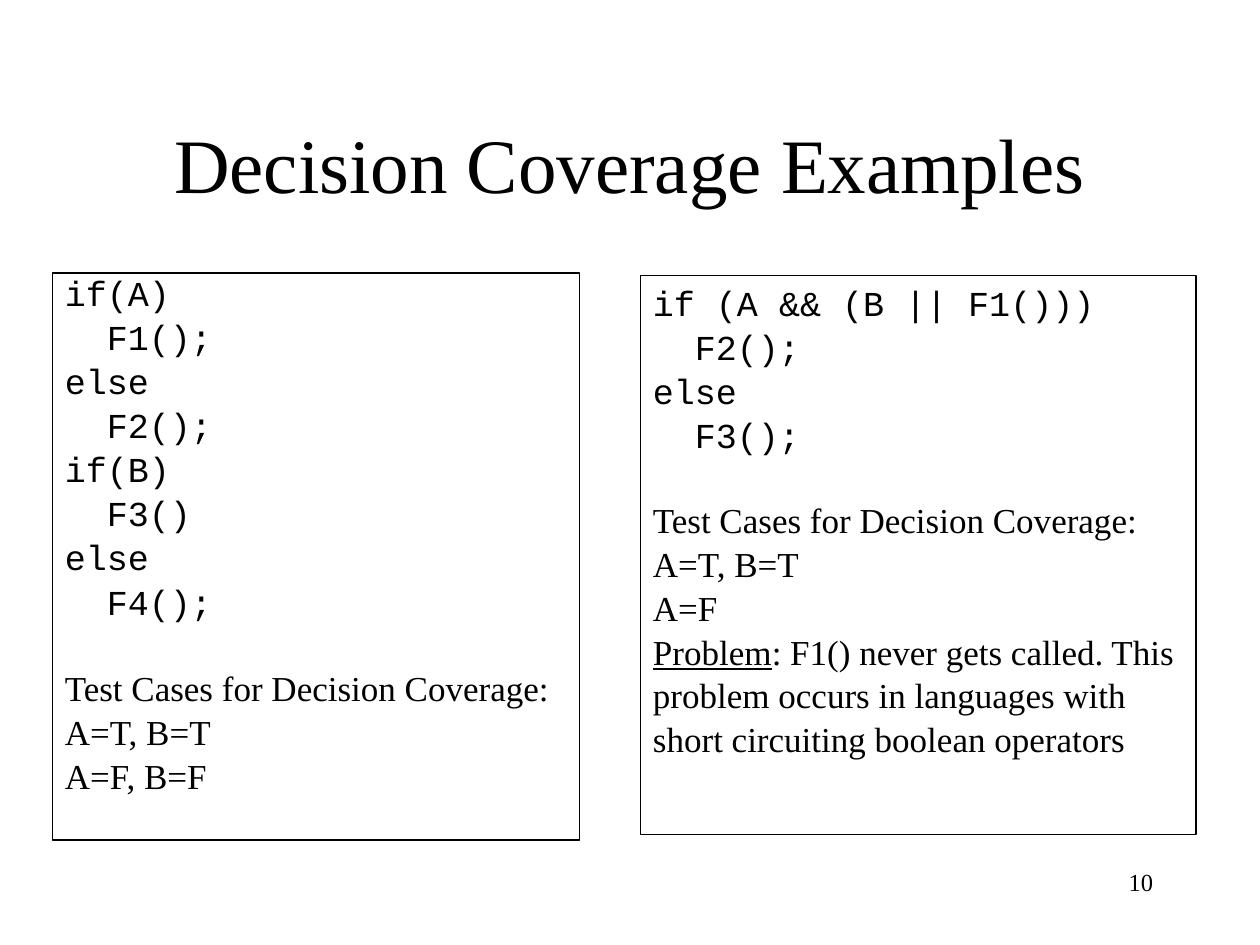
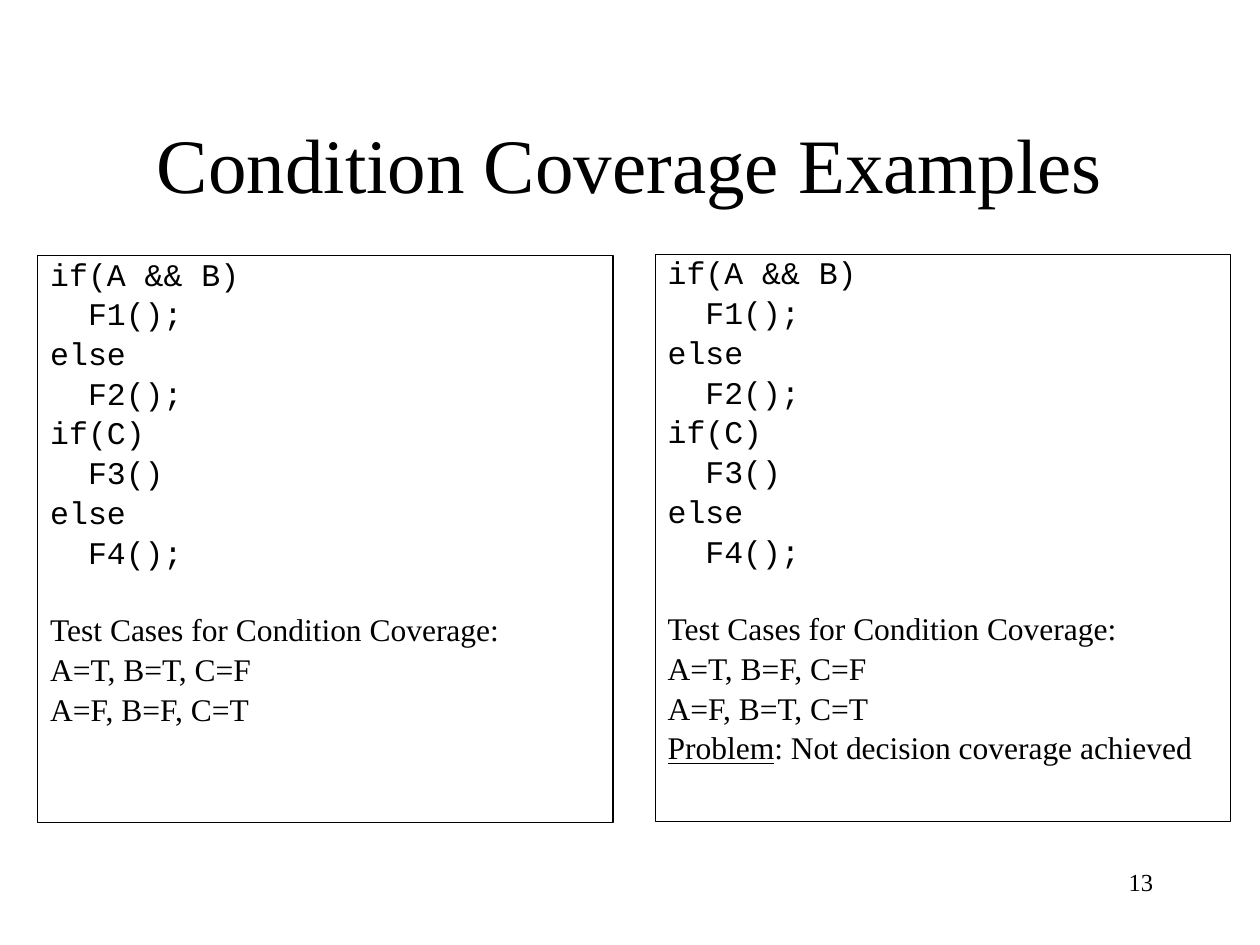
"""Build two slides of code coverage examples on a grid of 120 columns by 90 rows."""
from pptx import Presentation
from pptx import util as u
from pptx.dml.color import RGBColor
from pptx.enum import shapes, text

BLACK = "000000"
SERIF, MONO = "Times New Roman", "Courier New"
CODE_INDENT = 1.2

presentation = Presentation()
presentation.slide_width, presentation.slide_height = u.Inches(10), u.Inches(7.5)
CELL = presentation.slide_width / 120


def color(value):
    return RGBColor.from_string(value)


def add_frame(slide, cells, lines, box_format, outlined=False):
    """Place lines of (text, font, paragraph format) in a rectangle of grid cells."""
    place = [round(cell * CELL) for cell in cells]
    if outlined:
        shape = slide.shapes.add_shape(shapes.MSO_SHAPE.RECTANGLE, *place)
        shape.shadow.inherit = False
        shape.fill.background()
        shape.line.color.rgb = color(BLACK)
        shape.line.width = u.Pt(0.75)
    else:
        shape = slide.shapes.add_textbox(*place)
    frame = shape.text_frame
    frame.word_wrap = True
    frame.vertical_anchor = box_format["anchor"]
    for index, (line, font_name, paragraph_format) in enumerate(lines):
        paragraph = frame.paragraphs[0] if index == 0 else frame.add_paragraph()
        paragraph.alignment = box_format["alignment"]
        for name, value in paragraph_format.items():
            setattr(paragraph, name, value)
        if line.startswith("  "):
            margin = u.Pt(CODE_INDENT * box_format["size"])
            paragraph._p.get_or_add_pPr().set("marL", str(margin))
        heading, mark, rest = line.strip().partition("Problem")
        for part in filter(None, (heading, mark, rest)):
            run = paragraph.add_run()
            run.text = part
            font = {"name": font_name, "size": u.Pt(box_format["size"]), "underline": part == "Problem"}
            for name, value in font.items():
                setattr(run.font, name, value)
            run.font.color.rgb = color(BLACK)


TITLE = {"anchor": text.MSO_ANCHOR.MIDDLE, "alignment": text.PP_ALIGN.CENTER, "size": 44}
NUMBER = {"anchor": text.MSO_ANCHOR.TOP, "alignment": text.PP_ALIGN.RIGHT, "size": 14}
PANEL = {"anchor": text.MSO_ANCHOR.TOP, "alignment": text.PP_ALIGN.LEFT}

condition_code = ["if(A && B)", "  F1();", "else", "  F2();", "if(C)", "  F3()", "else", "  F4();"]

slides = [
    ("Decision", "10", 20, [
        ((5, 26, 50.2, 54), 0.8, 6,
         ["if(A)", "  F1();", "else", "  F2();", "if(B)", "  F3()", "else", "  F4();"],
         ["A=T, B=T", "A=F, B=F"]),
        ((61, 26.25, 52.9, 53.25), 1, 1,
         ["if (A && (B || F1()))", "  F2();", "else", "  F3();"],
         ["A=T, B=T", "A=F", "Problem: F1() never gets called. This",
          "problem occurs in languages with", "short circuiting boolean operators"]),
    ]),
    ("Condition", "13", 18, [
        ((3.6, 24.35, 54.8, 54), 0.8, 5.4, condition_code,
         ["A=T, B=T, C=F", "A=F, B=F, C=T"]),
        ((62.4, 24.25, 54.8, 54), 0.8, 5.4, condition_code,
         ["A=T, B=F, C=F", "A=F, B=T, C=T", "Problem: Not decision coverage achieved"]),
    ]),
]

for coverage, number, size, panels in slides:
    slide = presentation.slides.add_slide(presentation.slide_layouts[6])
    add_frame(slide, (9, 8, 102, 15), [(f"{coverage} Coverage Examples", SERIF, {})], TITLE)
    for cells, spacing, gap, code, cases in panels:
        usual = {"line_spacing": spacing, "space_before": u.Pt(gap)}
        after_code = usual | {"space_before": u.Pt(gap + 1.2 * size)}
        lines = [(line, MONO, usual) for line in code]
        lines.append((f"Test Cases for {coverage} Coverage:", SERIF, after_code))
        lines += [(line, SERIF, usual) for line in cases]
        add_frame(slide, cells, lines, PANEL | {"size": size}, outlined=True)
    add_frame(slide, (86, 82, 25, 6), [(number, SERIF, {})], NUMBER)

presentation.save("out.pptx")
